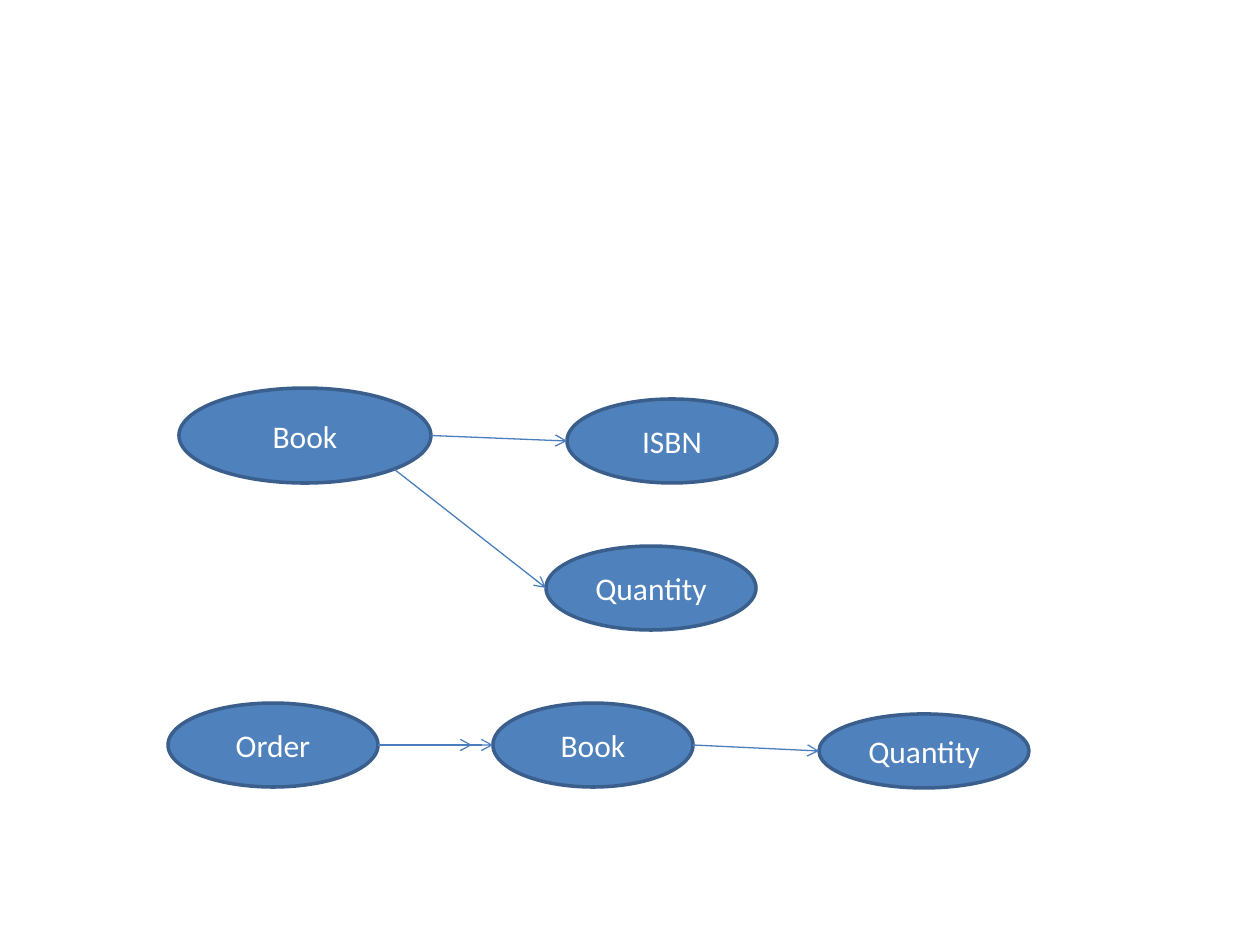
from math import sqrt

from lxml import etree
from pptx import Presentation
from pptx.dml.color import RGBColor
from pptx.enum.shapes import MSO_CONNECTOR, MSO_SHAPE
from pptx.enum.text import MSO_ANCHOR, PP_ALIGN
from pptx.oxml.ns import qn
from pptx.util import Emu, Pt

ELLIPSE = MSO_SHAPE.OVAL
STRAIGHT = MSO_CONNECTOR.STRAIGHT
MIDDLE = MSO_ANCHOR.MIDDLE
CENTER = PP_ALIGN.CENTER

EMU_PER_PIXEL = 914400 / 126
FILL, OUTLINE, ARROW, TEXT = "4F81BD", "3A5F8C", "4B7EBC", "FFFFFF"

# Nodes: label, left, top, width, height
NODES = {
    "book": ("Book", 179, 388, 252, 95),
    "isbn": ("ISBN", 567, 399, 210, 84),
    "book_quantity": ("Quantity", 546, 546, 210, 84),
    "order": ("Order", 168, 703, 210, 84),
    "ordered_book": ("Book", 493, 703, 200, 84),
    "order_quantity": ("Quantity", 819, 714, 210, 74),
}

# Arrows: start node, start side, end node, gap before the end node
ARROWS = [
    ("book", "right", "isbn", 0),
    ("book", "lower right", "book_quantity", 0),
    ("order", "right", "ordered_book", 0),
    ("order", "right", "ordered_book", 21),  # second head of the double arrow
    ("ordered_book", "right", "order_quantity", 0),
]

# Direction from the centre of an ellipse, in units of its radii
SIDES = {
    "left": (-1, 0),
    "right": (1, 0),
    "lower right": (sqrt(0.5), sqrt(0.5)),
}


def px(pixels):
    return Emu(round(pixels * EMU_PER_PIXEL))


def color(hex_string):
    return RGBColor.from_string(hex_string)


def rim_point(node, side):
    label, left, top, width, height = NODES[node]
    across, down = SIDES[side]
    return left + width / 2 * (1 + across), top + height / 2 * (1 + down)


def add_node(slide, label, *box):
    shape = slide.shapes.add_shape(ELLIPSE, *map(px, box))
    shape.shadow.inherit = False
    shape.fill.solid()
    shape.fill.fore_color.rgb = color(FILL)
    shape.line.color.rgb = color(OUTLINE)
    shape.line.width = Pt(2)
    shape.text_frame.vertical_anchor = MIDDLE
    paragraph = shape.text_frame.paragraphs[0]
    paragraph.text = label
    paragraph.alignment = CENTER
    paragraph.font.name = "Calibri"
    paragraph.font.size = Pt(18)
    paragraph.font.color.rgb = color(TEXT)


def add_arrow(slide, start, side, end, gap):
    end_x, end_y = rim_point(end, "left")
    points = (*rim_point(start, side), end_x - gap, end_y)
    connector = slide.shapes.add_connector(STRAIGHT, *map(px, points))
    connector.line.color.rgb = color(ARROW)
    connector.line.width = Pt(0.75)
    etree.SubElement(connector.line._get_or_add_ln(), qn("a:tailEnd"), type="arrow")
    etree.SubElement(connector._element.spPr, qn("a:effectLst"))


presentation = Presentation()
presentation.slide_width = px(1260)
presentation.slide_height = px(945)
slide = presentation.slides.add_slide(presentation.slide_layouts[6])

for node in NODES.values():
    add_node(slide, *node)
for arrow in ARROWS:
    add_arrow(slide, *arrow)

presentation.save("out.pptx")
